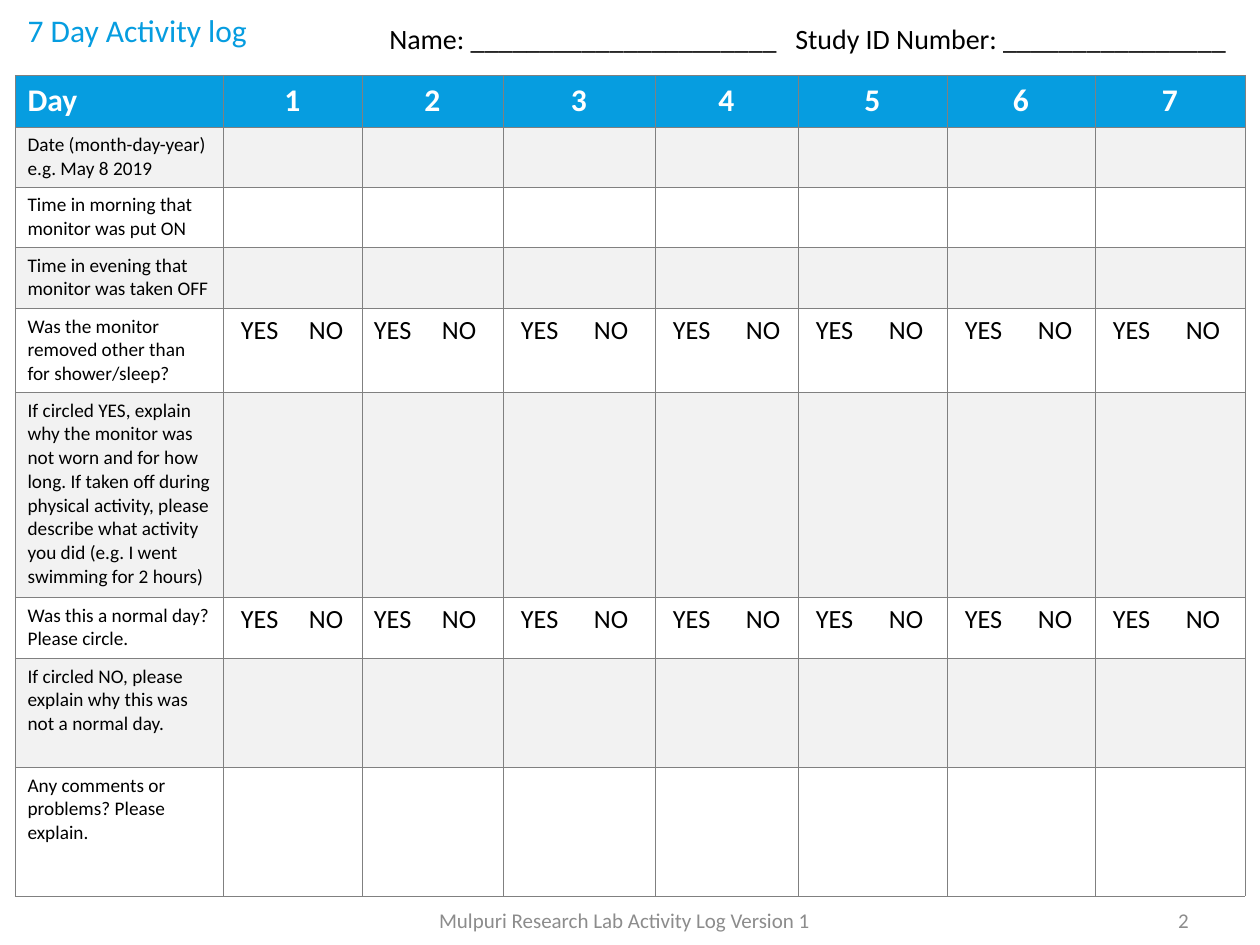
"""Build the 7 day activity log slide."""
from lxml.etree import SubElement
from pptx import Presentation
from pptx.dml.color import RGBColor
from pptx.enum.text import MSO_ANCHOR as Anchor, PP_ALIGN as Align
from pptx.oxml.ns import qn
from pptx.util import Pt

PX = 914400 / 126
BLUE = RGBColor(0x06, 0x9D, 0xE0)
WHITE = RGBColor(0xFF, 0xFF, 0xFF)
BLACK = RGBColor(0x00, 0x00, 0x00)
PALE = RGBColor(0xF2, 0xF2, 0xF2)
GRAY = RGBColor(0x8C, 0x8C, 0x8C)
BORDER = RGBColor(0x80, 0x80, 0x80)


def px(*lengths):
    return [round(length * PX) for length in lengths]


def write(frame, text, size, color=BLACK, bold=False, align=Align.LEFT, tab=None):
    paragraph = frame.paragraphs[0]
    paragraph.alignment = align
    run = paragraph.add_run()
    run.text = text
    run.font.name = "Calibri"
    run.font.size = Pt(size)
    run.font.bold = bold
    run.font.color.rgb = color
    if tab:
        tab_list = SubElement(paragraph._p.get_or_add_pPr(), qn("a:tabLst"))
        SubElement(tab_list, qn("a:tab"), pos=str(px(tab)[0]), algn="l")


presentation = Presentation()
presentation.slide_width, presentation.slide_height = px(1260, 945)
slide = presentation.slides.add_slide(presentation.slide_layouts[5])

title = slide.shapes.title
title.left, title.top, title.width, title.height = px(15, -34, 1134, 128)
title.text_frame.vertical_anchor = Anchor.MIDDLE
write(title.text_frame, "7 Day Activity log", 18, BLUE)

YES_NO = "YES\tNO"
questions = [
    ("Date (month-day-year) e.g. May 8 2019", "", 60),
    ("Time in morning that monitor was put ON", "", 60),
    ("Time in evening that monitor was taken OFF", "", 61),
    ("Was the monitor removed other than for shower/sleep?", YES_NO, 84),
    ("If circled YES, explain why the monitor was not worn and for how long. "
     "If taken off during physical activity, please describe what activity "
     "you did (e.g. I went swimming for 2 hours)", "", 205),
    ("Was this a normal day? Please circle.", YES_NO, 61),
    ("If circled NO, please explain why this was not a normal day.", "", 109),
    ("Any comments or problems? Please explain.", "", 129),
]
column_widths = [208, 139, 141, 152, 143, 149, 148, 150]
row_heights = [52] + [height for _, _, height in questions]
answer_margins = [18, 12, 18, 18, 18, 18, 18]
answer_tabs = [68, 68, 73, 73, 73, 73, 73]

table = slide.shapes.add_table(
    len(row_heights), len(column_widths),
    *px(15, 75, sum(column_widths), sum(row_heights))).table
for column, width in zip(table.columns, px(*column_widths)):
    column.width = width
for row, height in zip(table.rows, px(*row_heights)):
    row.height = height

for row_index in range(len(row_heights)):
    for column_index in range(len(column_widths)):
        cell = table.cell(row_index, column_index)
        properties = cell._tc.get_or_add_tcPr()
        for side in ("a:lnL", "a:lnR", "a:lnT", "a:lnB"):
            line = SubElement(properties, qn(side), w=str(Pt(0.25)))
            line_fill = SubElement(line, qn("a:solidFill"))
            SubElement(line_fill, qn("a:srgbClr"), val=str(BORDER))
        cell.fill.solid()
        if row_index == 0:
            cell.fill.fore_color.rgb = BLUE
            text = str(column_index) if column_index else "Day"
            align = Align.CENTER if column_index else Align.LEFT
            write(cell.text_frame, text, 18, WHITE, bold=True, align=align)
            continue
        cell.fill.fore_color.rgb = PALE if row_index % 2 else WHITE
        question, answer, _ = questions[row_index - 1]
        if column_index == 0:
            write(cell.text_frame, question, 11)
        elif answer:
            cell.margin_left = px(answer_margins[column_index - 1])[0]
            cell.margin_right = 0
            write(cell.text_frame, answer, 15, tab=answer_tabs[column_index - 1])

identity = slide.shapes.add_textbox(*px(377, 15, 883, 47)).text_frame
identity.word_wrap = False
write(identity, "Name: ______________________\tStudy ID Number: ________________", 16, tab=406)

footers = [
    ("Mulpuri Research Lab Activity Log Version 1", 425, 399, Align.CENTER),
    ("2", 907, 294, Align.RIGHT),
]
for text, left, width, align in footers:
    footer = slide.shapes.add_textbox(*px(left, 895, width, 50)).text_frame
    footer.word_wrap = True
    footer.vertical_anchor = Anchor.MIDDLE
    write(footer, text, 12, GRAY, align=align)

presentation.save("out.pptx")
